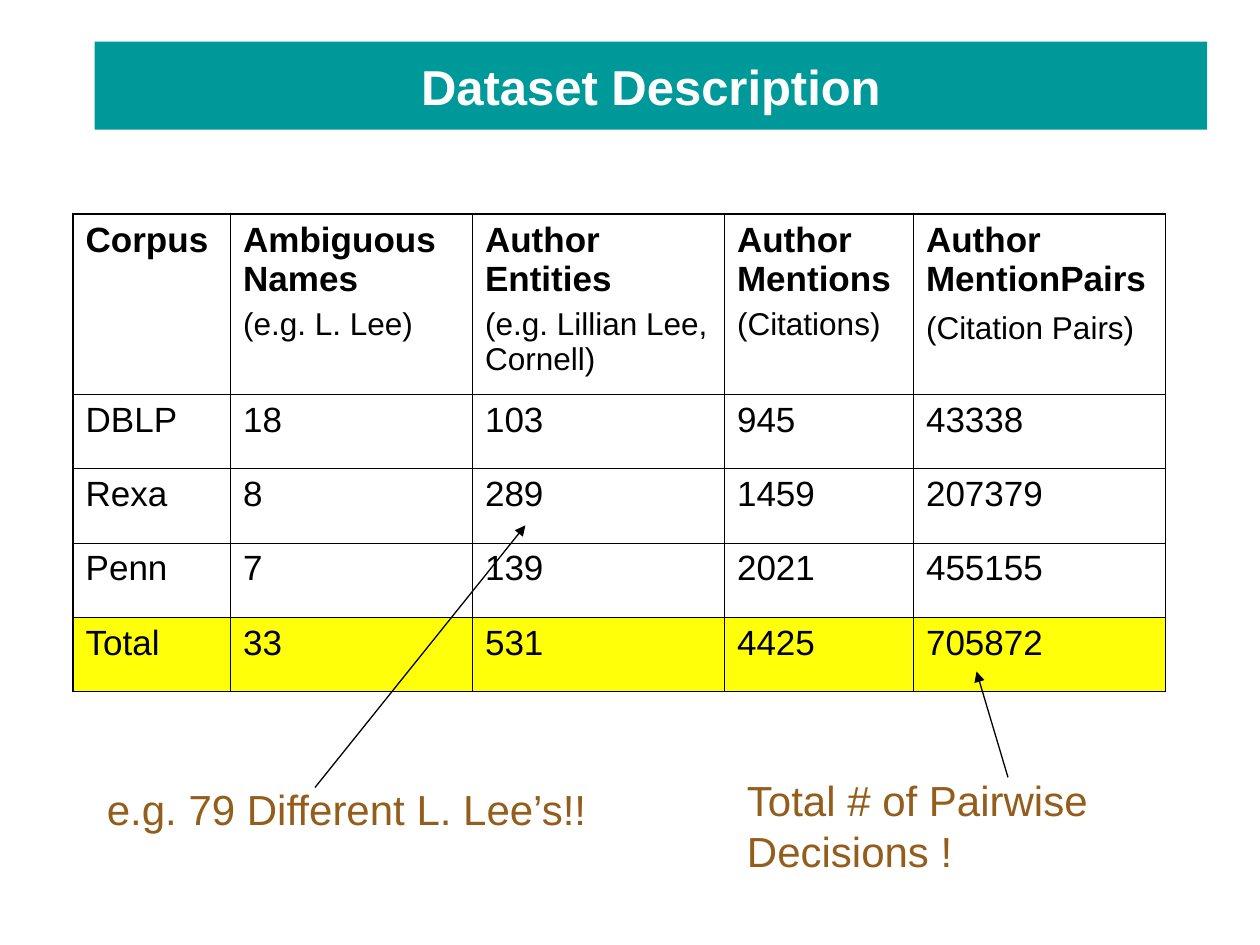
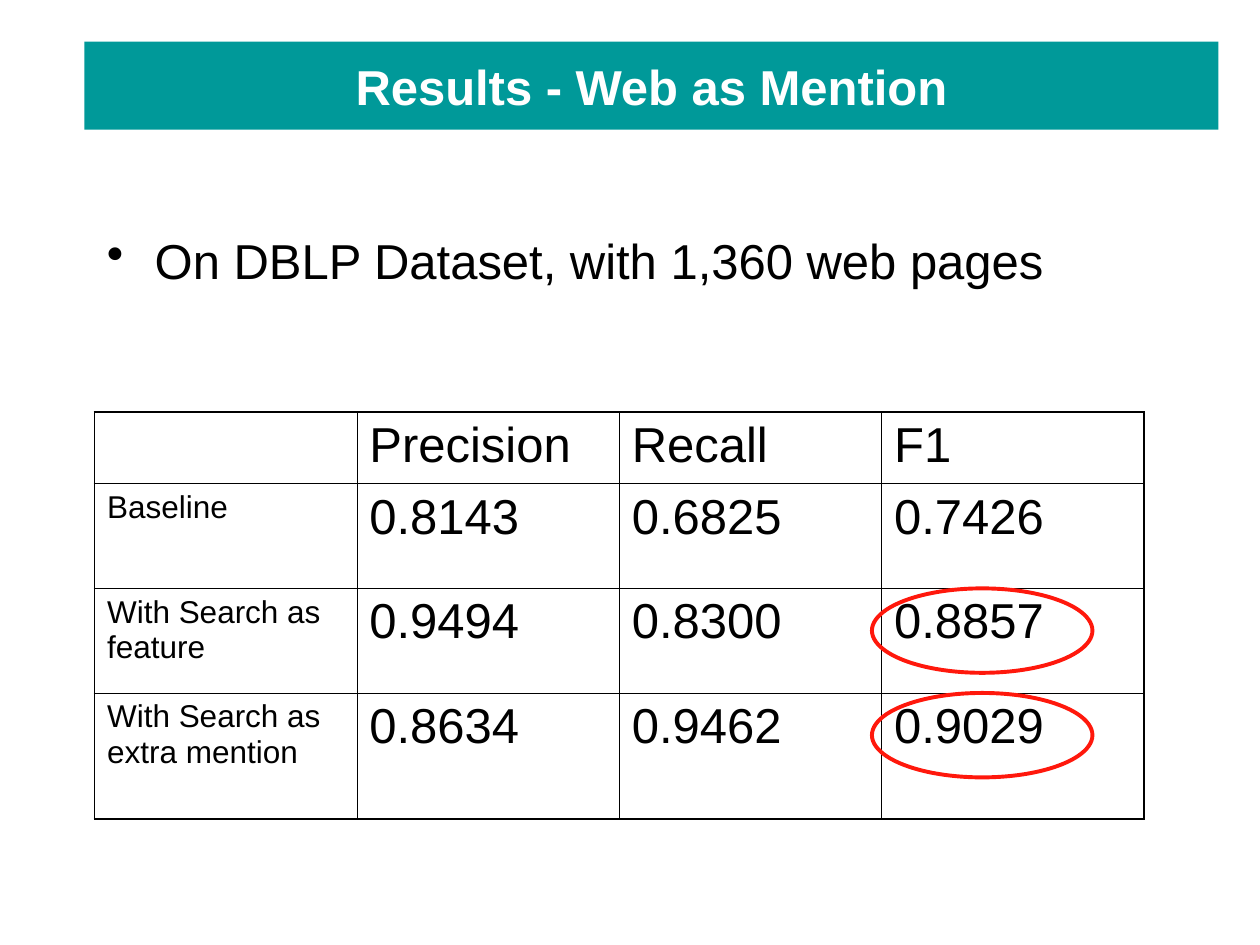
from lxml import etree
from pptx import Presentation
from pptx.dml.color import RGBColor as RGB
from pptx.enum.shapes import MSO_CONNECTOR as Line, MSO_SHAPE as Shape
from pptx.enum.text import MSO_ANCHOR as Anchor, MSO_AUTO_SIZE as Auto, PP_ALIGN as Align
from pptx.oxml import parse_xml
from pptx.oxml.ns import nsdecls, qn
from pptx.util import Inches, Pt

HUE = {"teal": "009999", "white": "FFFFFF", "black": "000000",
       "brown": "935D1B", "yellow": "FFFF0A", "red": "FF180C"}
FONT = "Arial"
EDGE, RULE = 1.08, 0.45  # table border widths in points


def put(frame, text, size=20, hue="black", bold=False, align=Align.LEFT,
        gap=0, more=False, bullet=False):
    """Write one paragraph, as the first or as a further one."""
    frame.word_wrap = True
    para = frame.add_paragraph() if more else frame.paragraphs[0]
    para.text = text
    para.alignment = align
    para.space_before = Pt(gap)
    if bullet:
        para.line_spacing = 0.9
        props = para._p.get_or_add_pPr()
        props.set("marL", str(Inches(0.38)))
        props.set("indent", str(-Inches(0.38)))
        etree.SubElement(props, qn("a:buChar")).set("char", "•")
    font = para.runs[0].font
    font.name, font.size, font.bold = FONT, Pt(size), bold
    font.color.rgb = RGB.from_string(HUE[hue])


def grid(slide, left, top, cols, rows):
    """Add a plain ruled table with a heavier outer edge."""
    table = slide.shapes.add_table(
        len(rows), len(cols), Inches(left), Inches(top),
        Inches(sum(cols)), Inches(sum(rows))).table
    table.first_row = table.horz_banding = False
    for col, width in zip(table.columns, cols):
        col.width = Inches(width)
    for row, height in zip(table.rows, rows):
        row.height = Inches(height)
    for r in range(len(rows)):
        for c in range(len(cols)):
            cell = table.cell(r, c)
            props = cell._tc.get_or_add_tcPr()
            outer = {"L": c == 0, "R": c == len(cols) - 1,
                     "T": r == 0, "B": r == len(rows) - 1}
            for side, edge in outer.items():
                width = Pt(EDGE if edge else RULE)
                props.append(parse_xml(
                    f'<a:ln{side} {nsdecls("a")} w="{width}"><a:solidFill>'
                    f'<a:srgbClr val="{HUE["black"]}"/></a:solidFill></a:ln{side}>'))
            cell.fill.background()
    return table


deck = Presentation()
deck.slide_width, deck.slide_height = Inches(10), Inches(7.5)

# Slides with their title bands
slides = []
for text, left, width in [("Dataset Description", 0.75, 8.83),
                          ("Results - Web as Mention", 0.67, 9)]:
    slide = deck.slides.add_slide(deck.slide_layouts[5])
    title = slide.shapes.title
    title.left, title.top = Inches(left), Inches(0.33)
    title.width, title.height = Inches(width), Inches(0.7)
    title.fill.solid()
    title.fill.fore_color.rgb = RGB.from_string(HUE["teal"])
    title.text_frame.auto_size = Auto.NONE
    title.text_frame.vertical_anchor = Anchor.MIDDLE
    put(title.text_frame, text, size=28, hue="white", bold=True, align=Align.CENTER)
    slides.append(slide)
data, result = slides

# Dataset table: heads with a smaller note below
table = grid(data, 0.58, 1.7, [1.25, 1.92, 2, 1.5, 2], [1.43] + [0.59] * 4)
heads = [("Corpus", "", 0), ("Ambiguous Names", "(e.g. L. Lee)", 4.5),
         ("Author Entities", "(e.g. Lillian Lee, Cornell)", 4.5),
         ("Author Mentions", "(Citations)", 4.5),
         ("Author MentionPairs", "(Citation Pairs)", 7)]
for c, (head, note, gap) in enumerate(heads):
    frame = table.cell(0, c).text_frame
    put(frame, head, bold=True)
    if note:
        put(frame, note, size=18, gap=gap, more=True)

counts = [("DBLP", 18, 103, 945, 43338),
          ("Rexa", 8, 289, 1459, 207379),
          ("Penn", 7, 139, 2021, 455155),
          ("Total", 33, 531, 4425, 705872)]
for r, row in enumerate(counts, 1):
    for c, value in enumerate(row):
        cell = table.cell(r, c)
        put(cell.text_frame, str(value))
        if row[0] == "Total":
            cell.fill.solid()
            cell.fill.fore_color.rgb = RGB.from_string(HUE["yellow"])

# Remarks and their arrows
remarks = [("e.g. 79 Different L. Lee’s!!", (0.75, 6.17, 4.25, 0.5),
            (2.5, 6.25, 4.17, 4.17)),
           ("Total # of Pairwise Decisions !", (5.83, 6.1, 3.83, 0.9),
            (8, 6.17, 7.75, 5.33))]
for text, area, ends in remarks:
    box = data.shapes.add_textbox(*map(Inches, area))
    put(box.text_frame, text, size=24, hue="brown")
    arrow = data.shapes.add_connector(Line.STRAIGHT, *map(Inches, ends))
    arrow.line.width = Pt(0.75)
    arrow.line.color.rgb = RGB.from_string(HUE["black"])
    etree.SubElement(arrow.line._get_or_add_ln(), qn("a:tailEnd")).set("type", "triangle")
    etree.SubElement(arrow._element.spPr, qn("a:effectLst"))

# Results: bullet line
box = result.shapes.add_textbox(Inches(0.75), Inches(1.83), Inches(8.5), Inches(0.58))
put(box.text_frame, "On DBLP Dataset, with 1,360 web pages", size=28, bullet=True)

# Results table
table = grid(result, 0.75, 3.27, [8.33 / 4] * 4, [0.57, 0.83, 0.83, 1])
scores = [("", "Precision", "Recall", "F1"),
          ("Baseline", "0.8143", "0.6825", "0.7426"),
          ("With Search as feature", "0.9494", "0.8300", "0.8857"),
          ("With Search as extra mention", "0.8634", "0.9462", "0.9029")]
for r, row in enumerate(scores):
    for c, text in enumerate(row):
        if text:
            put(table.cell(r, c).text_frame, text, size=28 if c else 18)

# Rings around the two best F1 scores
for top in (4.67, 5.5):
    ring = result.shapes.add_shape(
        Shape.OVAL, Inches(6.92), Inches(top), Inches(1.75), Inches(0.67))
    ring.shadow.inherit = False
    ring.fill.background()
    ring.line.width = Pt(2.25)
    ring.line.color.rgb = RGB.from_string(HUE["red"])

deck.save("out.pptx")
